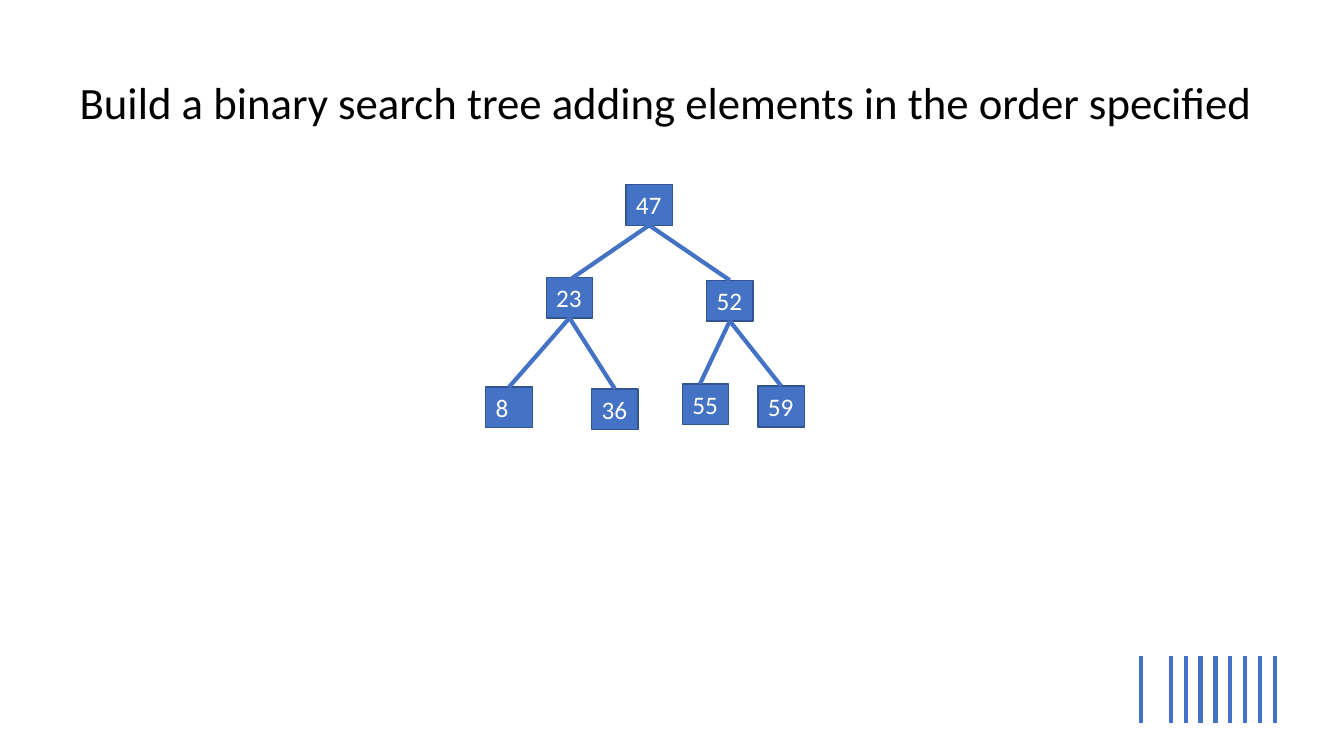
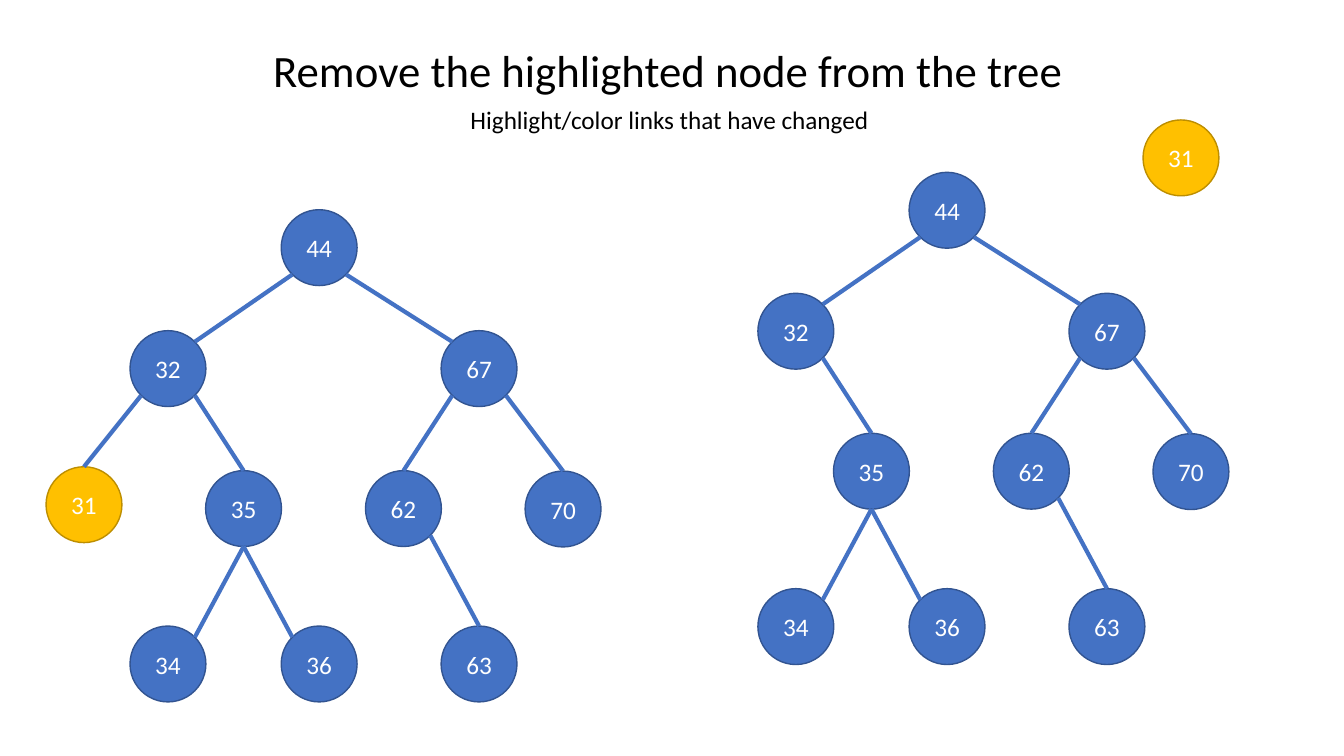
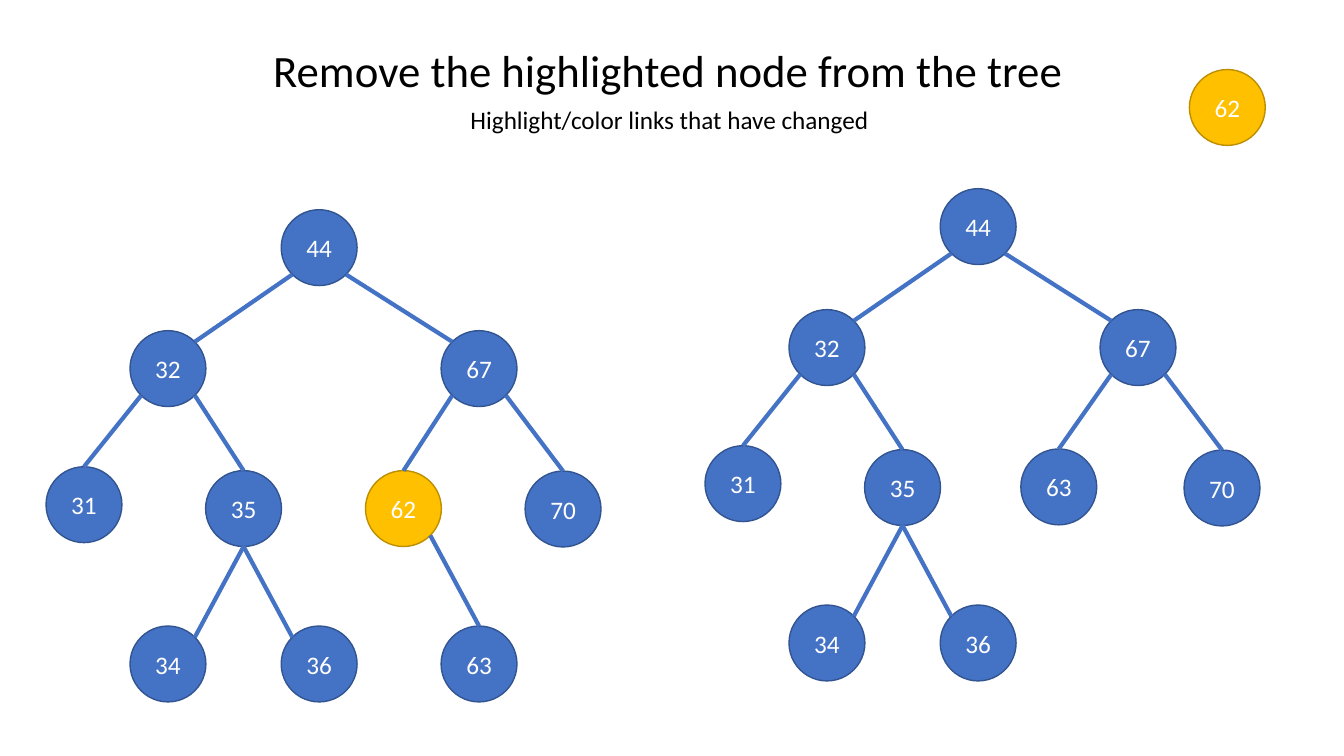
from lxml import etree
from pptx import Presentation
from pptx.dml.color import RGBColor
from pptx.enum.shapes import MSO_CONNECTOR, MSO_SHAPE
from pptx.enum.text import MSO_ANCHOR, MSO_AUTO_SIZE, PP_ALIGN
from pptx.oxml.ns import qn
from pptx.util import Pt

STRAIGHT = MSO_CONNECTOR.STRAIGHT
RECTANGLE, OVAL = MSO_SHAPE.RECTANGLE, MSO_SHAPE.OVAL
TOP, MIDDLE = MSO_ANCHOR.TOP, MSO_ANCHOR.MIDDLE
LEFT, CENTER = PP_ALIGN.LEFT, PP_ALIGN.CENTER
FIXED = MSO_AUTO_SIZE.NONE

FONT = "Calibri"
BLACK, WHITE = "000000", "FFFFFF"
BLUE, GOLD = ("4472C4", "325491"), ("FFC000", "BD8E00")
BOX_WIDTH, BOX_HEIGHT = 33.2, 29.1
CIRCLE = 54.2
SITE_TOP, SITE_BOTTOM = 0, 2

NEAR, FAR = 0.146, 0.854
SITES = {
    "top": (0.5, 0),
    "bottom": (0.5, 1),
    "top left": (NEAR, NEAR),
    "top right": (FAR, NEAR),
    "bottom left": (NEAR, FAR),
    "bottom right": (FAR, FAR),
}

SEARCH_TREE = {
    "59": (541.4, 275.8),
    "52": (504.7, 200.2),
    "36": (422.6, 277.9),
    "23": (390.2, 198),
    "47": (447.1, 131.8),
    "55": (487.4, 274.3),
    "8": (347, 276.5),
}
SEARCH_LINKS = [
    ("47", "23", (0, 2)),
    ("47", "52", (0, 0)),
    ("23", "8", (0, 0)),
    ("23", "36", (0, 0)),
    ("52", "55", (-4, 0)),
    ("52", "59", (0, 0)),
]

NODES = {
    "44": (0, 0),
    "32": (-108, 86.4),
    "67": (114.2, 86.4),
    "31": (-168, 183.6),
    "35": (-54, 186.4),
    "62": (60.2, 186.4),
    "70": (174.2, 186.7),
    "34": (-108, 297.4),
    "36": (0, 297.4),
    "63": (114.2, 297.4),
}
LINKS = [
    ("44", "32", "bottom left", "top right"),
    ("44", "67", "bottom right", "top left"),
    ("32", "31", "bottom left", "top"),
    ("32", "35", "bottom right", "top"),
    ("67", "62", "bottom left", "top"),
    ("67", "70", "bottom right", "top"),
    ("35", "34", "bottom", "top right"),
    ("35", "36", "bottom", "top left"),
    ("62", "63", "bottom right", "top"),
]


def rgb(code):
    """Turn a hex string into a colour."""
    return RGBColor.from_string(code)


def write(shape, text, size=18, color=WHITE, align=LEFT, anchor=TOP, wrap=True):
    """Put formatted text into a shape."""
    frame = shape.text_frame
    frame.auto_size = FIXED
    frame.word_wrap = wrap
    frame.vertical_anchor = anchor
    paragraph = frame.paragraphs[0]
    paragraph.alignment = align
    run = paragraph.add_run()
    run.text = text
    run.font.name = FONT
    run.font.size = Pt(size)
    run.font.color.rgb = rgb(color)


def without(nodes, removed):
    """Return the nodes that remain after a removal."""
    return {key: place for key, place in nodes.items() if key != removed}


class Deck:
    """Hold the style and the current slide."""

    def __init__(self):
        """Open an empty widescreen presentation."""
        self.show = Presentation()
        self.show.slide_width, self.show.slide_height = Pt(960), Pt(540)
        self.slide = None

    def start(self, heading, left, top, width):
        """Begin a slide with its title."""
        self.slide = self.show.slides.add_slide(self.show.slide_layouts[5])
        title = self.slide.shapes.title
        title.left, title.top = Pt(left), Pt(top)
        title.width, title.height = Pt(width), Pt(46)
        write(title, heading, size=32, color=BLACK, wrap=False)

    def label(self, text, left, top, width, height):
        """Add a line of plain text."""
        box = self.slide.shapes.add_textbox(Pt(left), Pt(top), Pt(width), Pt(height))
        write(box, text, color=BLACK, wrap=False)

    def node(self, kind, text, place, size, colors=BLUE, **style):
        """Add a filled tree node."""
        node = self.slide.shapes.add_shape(kind, *map(Pt, place + size))
        fill, outline = colors
        node.shadow.inherit = False
        node.fill.solid()
        node.fill.fore_color.rgb = rgb(fill)
        node.line.color.rgb = rgb(outline)
        node.line.width = Pt(1)
        write(node, text, **style)
        return node

    def box(self, text, place):
        """Add a rectangular node."""
        return self.node(RECTANGLE, text, place, (BOX_WIDTH, BOX_HEIGHT))

    def circle(self, text, place, colors=BLUE):
        """Add a round node."""
        return self.node(OVAL, text, place, (CIRCLE, CIRCLE), colors,
                         align=CENTER, anchor=MIDDLE)

    def line(self, start, end):
        """Add a straight link."""
        link = self.slide.shapes.add_connector(STRAIGHT, *map(Pt, start + end))
        link.line.color.rgb = rgb(BLUE[0])
        link.line.width = Pt(3)
        etree.SubElement(link.element.spPr, qn("a:effectLst"))
        return link

    def box_tree(self, places, links):
        """Draw a tree of joined rectangles."""
        boxes = {key: self.box(key, place) for key, place in places.items()}
        for parent, child, (shift_x, shift_y) in links:
            left, top = places[child]
            end = (left + BOX_WIDTH / 2 + shift_x, top + shift_y)
            link = self.line(places[parent], end)
            link.begin_connect(boxes[parent], SITE_BOTTOM)
            if (shift_x, shift_y) == (0, 0):
                link.end_connect(boxes[child], SITE_TOP)

    def circle_tree(self, root, nodes=NODES, links=LINKS, highlighted=None):
        """Draw a tree of circles from the place of its root."""
        places = {key: (root[0] + x, root[1] + y) for key, (x, y) in nodes.items()}
        for key, place in places.items():
            self.circle(key, place, GOLD if key == highlighted else BLUE)
        for parent, child, leave, arrive in links:
            if parent in places and child in places:
                self.line(*(
                    tuple(edge + CIRCLE * part for edge, part in zip(places[key], SITES[site]))
                    for key, site in ((parent, leave), (child, arrive))
                ))

    def removal(self, key, removed_place, root, nodes, links=LINKS):
        """Show a tree before and after a node is removed."""
        self.start("Remove the highlighted node from the tree", 187.9, 26.6, 583.9)
        self.label("Highlight/color links that have changed", 329, 70.6, 302.4, 29)
        self.circle_tree((200.9, 149.8), highlighted=key)
        self.circle_tree(root, nodes, links)
        self.circle(key, removed_place, GOLD)


def main():
    """Build the three slides."""
    deck = Deck()
    deck.start("Build a binary search tree adding elements in the order specified",
               49.7, 49.7, 861.1)
    deck.box_tree(SEARCH_TREE, SEARCH_LINKS)
    for step in (0, *range(2, 10)):
        bar = 814.9 + 10.66 * step
        deck.line((bar, 468.7), (bar, 516.2))

    deck.removal("31", (816.5, 85.7), (649.4, 123.1), without(NODES, "31"))

    promoted = {**without(NODES, "62"), "63": (57.6, 185.9)}
    deck.removal("62", (849.6, 49.7), (671.6, 134.8), promoted,
                 LINKS + [("67", "63", "bottom left", "top")])
    deck.show.save("out.pptx")


if __name__ == "__main__":
    main()
